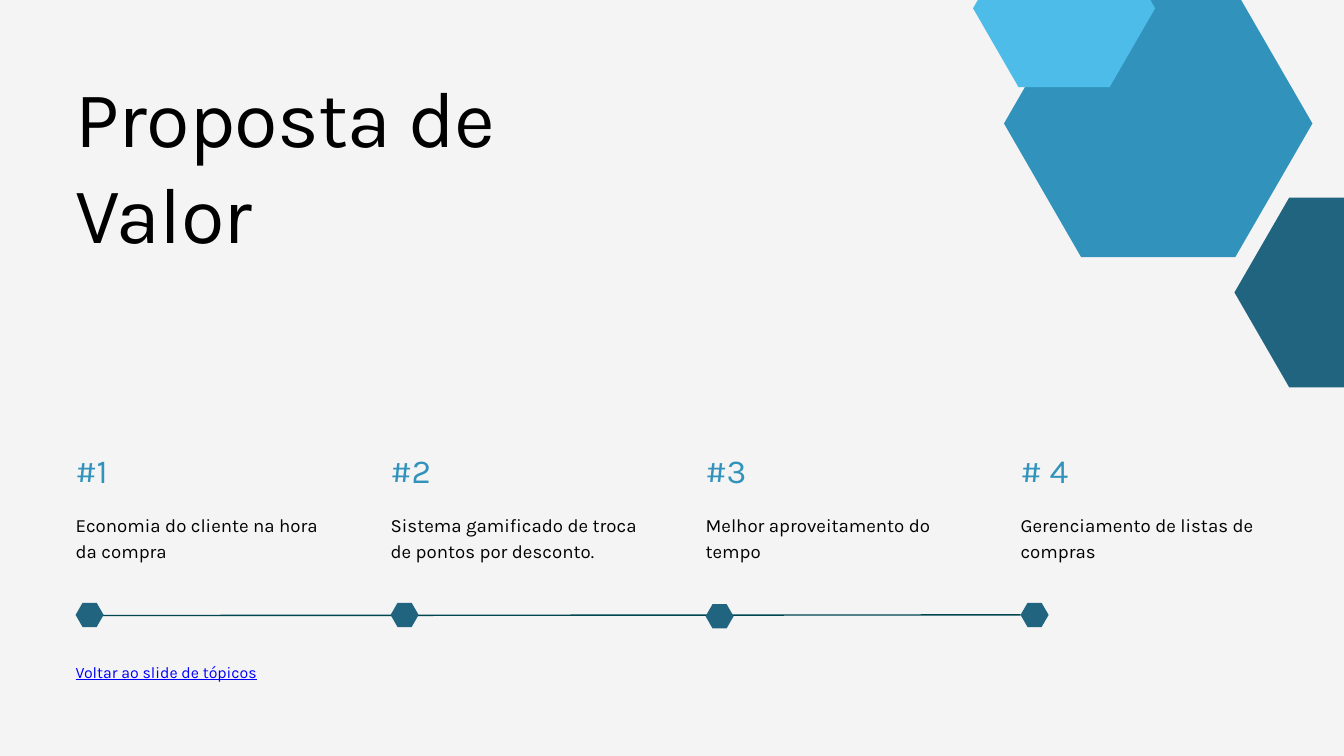
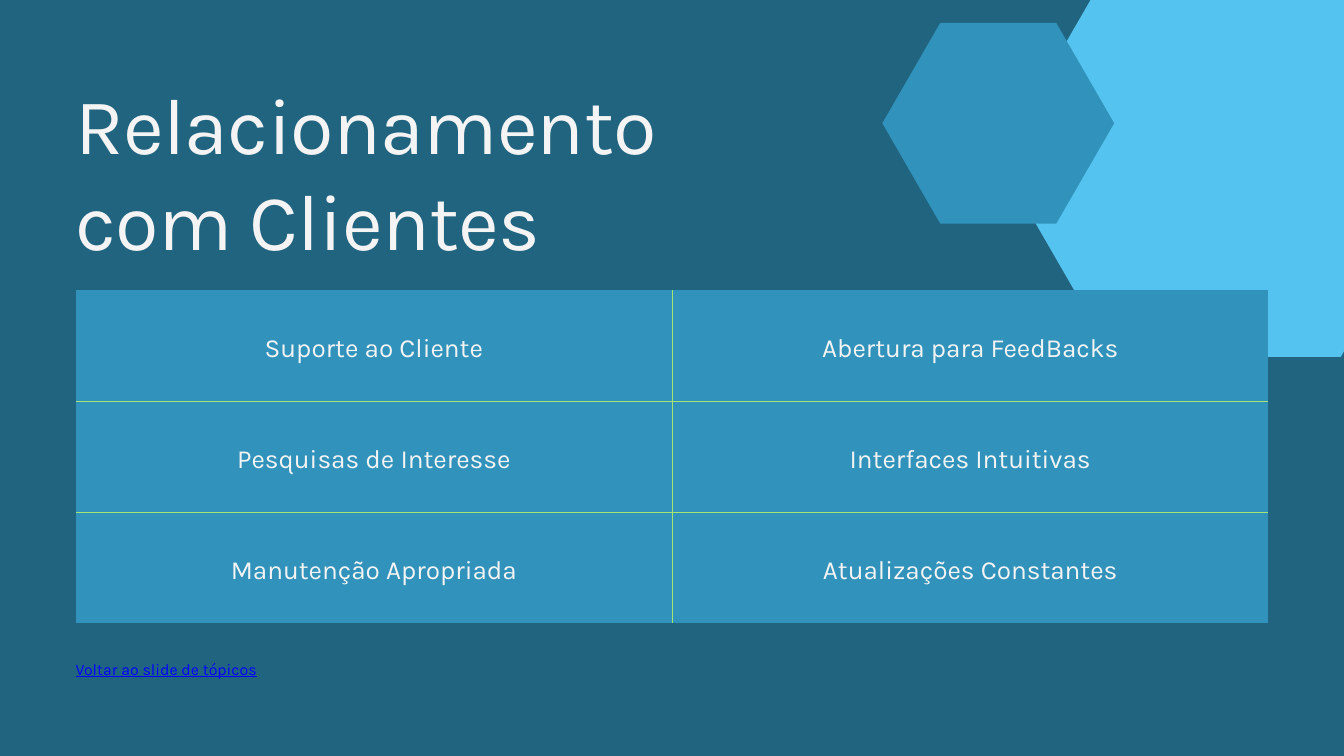
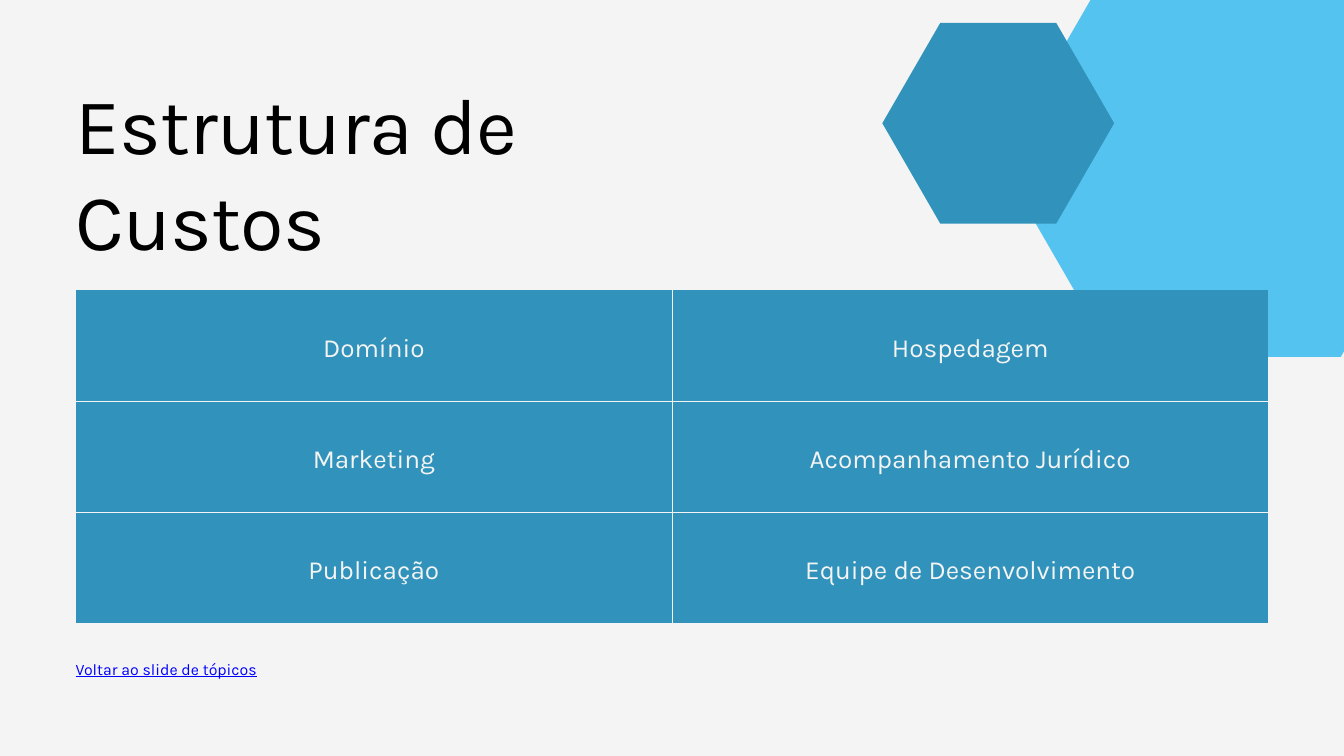
from dataclasses import dataclass

from lxml import etree
from pptx import Presentation
from pptx import util as u
from pptx.dml.color import RGBColor
from pptx.enum import shapes, text
from pptx.oxml import ns

GRID_COLS, GRID_ROWS = 160, 90
UNIT = u.Inches(20) // GRID_COLS
MARGIN = 9
STEP = 37.5
STEP_TEXT_W = 29.44
MARKER_W = 3.34
TABLE_TOP, TABLE_ROW_H = 34.56, 13.2
FONT = "Karla"
BACK_LABEL = "Voltar ao slide de tópicos"

PAPER = RGBColor(0xF4, 0xF4, 0xF4)
INK = RGBColor(0x00, 0x00, 0x00)
NAVY = RGBColor(0x21, 0x64, 0x80)
BLUE = RGBColor(0x31, 0x93, 0xBB)
SKY = RGBColor(0x4D, 0xBC, 0xE9)
LIGHT_SKY = RGBColor(0x55, 0xC3, 0xEF)
LIME = RGBColor(0xA4, 0xE4, 0x73)
TEAL = RGBColor(0x00, 0x46, 0x51)
LINK = RGBColor(0x00, 0x00, 0xFF)


@dataclass(frozen=True)
class Box:
    col: float
    row: float
    cols: float
    rows: float


@dataclass(frozen=True)
class Style:
    size: float
    leading: float
    color: RGBColor
    underline: bool = False
    spacing: int = 0


@dataclass(frozen=True)
class Hexagon:
    col: float
    row: float
    width: float
    color: RGBColor


@dataclass(frozen=True)
class Step:
    number: str
    benefit: str
    marker_row: float = 71.76


@dataclass(frozen=True)
class TableSlide:
    title: str
    background: RGBColor
    title_color: RGBColor
    border: RGBColor
    rows: tuple


NUMBER = Style(36, 43.2, BLUE)
BENEFIT = Style(20, 28, INK)
CELL = Style(28, 39.2, PAPER)
BACK = Style(17, 23.8, LINK, underline=True)

VALUE_HEXAGONS = (
    Hexagon(146.96, 23.52, 26.08, NAVY),
    Hexagon(119.52, -1.2, 36.72, BLUE),
    Hexagon(115.84, -8.4, 21.68, SKY),
)
TABLE_HEXAGONS = (
    Hexagon(118.88, -4.56, 54.32, LIGHT_SKY),
    Hexagon(105.04, 2.72, 27.6, BLUE),
)
STEPS = (
    Step("#1", "Economia do cliente na hora da compra"),
    Step("#2", "Sistema gamificado de troca de pontos por desconto."),
    Step("#3", "Melhor aproveitamento do tempo", 71.92),
    Step("# 4", "Gerenciamento de listas de compras"),
)
TABLE_SLIDES = (
    TableSlide("Relacionamento com Clientes", NAVY, PAPER, LIME, (
        ("Suporte ao Cliente", "Abertura para FeedBacks"),
        ("Pesquisas de Interesse", "Interfaces Intuitivas"),
        ("Manutenção Apropriada", "Atualizações Constantes"),
    )),
    TableSlide("Estrutura de Custos", PAPER, INK, PAPER, (
        ("Domínio", "Hospedagem"),
        ("Marketing", "Acompanhamento Jurídico"),
        ("Publicação", "Equipe de Desenvolvimento"),
    )),
)


def grid(units: float) -> int:
    return round(units * UNIT)


def write(tf, content: str, style: Style, align=text.PP_ALIGN.LEFT) -> None:
    p = tf.paragraphs[0]
    p.alignment = align
    p.line_spacing = u.Pt(style.leading)
    p.space_before = u.Pt(0)
    r = p.add_run()
    r.text = content
    r.font.name = FONT
    r.font.size = u.Pt(style.size)
    r.font.color.rgb = style.color
    if style.underline:
        r.font.underline = True
    if style.spacing:
        r._r.get_or_add_rPr().set("spc", str(style.spacing))


def set_frame(sp, content: str, style: Style) -> None:
    tf = sp.text_frame
    tf.word_wrap = True
    tf.auto_size = text.MSO_AUTO_SIZE.SHAPE_TO_FIT_TEXT
    tf.vertical_anchor = text.MSO_ANCHOR.TOP
    tf.margin_left = tf.margin_right = tf.margin_top = tf.margin_bottom = 0
    write(tf, content, style)


def add_text(s, box: Box, content: str, style: Style) -> None:
    sp = s.shapes.add_textbox(grid(box.col), grid(box.row), grid(box.cols), grid(box.rows))
    set_frame(sp, content, style)


def add_hexagon(s, hexagon: Hexagon) -> None:
    w = hexagon.width
    h = w * 3 ** 0.5 / 2
    shares = ((1, 0.5), (0.75, 1), (0.25, 1), (0, 0.5), (0.25, 0), (0.75, 0))
    points = [(grid(hexagon.col + x * w), grid(hexagon.row + y * h)) for x, y in shares]
    builder = s.shapes.build_freeform(*points[0])
    builder.add_line_segments(points[1:], close=True)
    sp = builder.convert_to_shape()
    sp.shadow.inherit = False
    sp.fill.solid()
    sp.fill.fore_color.rgb = hexagon.color
    sp.line.fill.background()


def add_timeline(s) -> None:
    line = s.shapes.add_connector(
        shapes.MSO_CONNECTOR.STRAIGHT,
        grid(11.12), grid(73.28), grid(MARGIN + 3 * STEP), grid(73.2))
    line.line.color.rgb = TEAL
    line.line.width = u.Pt(1.5)
    etree.SubElement(line._element.spPr, ns.qn("a:effectLst"))


def add_base(prs, background: RGBColor, title: str, color: RGBColor, box: Box):
    s = prs.slides.add_slide(prs.slide_layouts[5])
    s.background.fill.solid()
    s.background.fill.fore_color.rgb = background
    sp = s.shapes.title
    sp.left, sp.top = grid(box.col), grid(box.row)
    sp.width, sp.height = grid(box.cols), grid(box.rows)
    set_frame(sp, title, Style(85, 102, color, spacing=-80))
    return s


def add_back_label(s, row: float) -> None:
    add_text(s, Box(MARGIN, row, 45.76, 2.56), BACK_LABEL, BACK)


def set_border(cell, side: str, color: RGBColor, visible: bool) -> None:
    width = u.Pt(0.75) if visible else 0
    ln = etree.SubElement(cell._tc.get_or_add_tcPr(), ns.qn(f"a:ln{side}"), w=str(width))
    if visible:
        fill = etree.SubElement(ln, ns.qn("a:solidFill"))
        etree.SubElement(fill, ns.qn("a:srgbClr"), val=str(color))
    else:
        etree.SubElement(ln, ns.qn("a:noFill"))


def add_grid_table(s, rows: tuple, border: RGBColor) -> None:
    n_rows, n_cols = len(rows), len(rows[0])
    table = s.shapes.add_table(
        n_rows, n_cols, grid(MARGIN), grid(TABLE_TOP),
        grid(GRID_COLS - 2 * MARGIN), grid(n_rows * TABLE_ROW_H)).table
    table.first_row = table.horz_banding = False
    for i, row in enumerate(rows):
        for j, content in enumerate(row):
            cell = table.cell(i, j)
            inner = {"L": j > 0, "R": j < n_cols - 1, "T": i > 0, "B": i < n_rows - 1}
            for side, visible in inner.items():
                set_border(cell, side, border, visible)
            cell.fill.solid()
            cell.fill.fore_color.rgb = BLUE
            cell.vertical_anchor = text.MSO_ANCHOR.MIDDLE
            cell.margin_left = cell.margin_right = u.Inches(0.21)
            cell.margin_top = cell.margin_bottom = u.Inches(0.21)
            write(cell.text_frame, content, CELL, text.PP_ALIGN.CENTER)


def add_value_slide(prs) -> None:
    s = add_base(prs, PAPER, "Proposta de Valor", INK, Box(MARGIN, 8.16, 68.08, 22.5))
    add_timeline(s)
    for i, step in enumerate(STEPS):
        col = MARGIN + i * STEP
        add_text(s, Box(col, 53.6, STEP_TEXT_W, 4.8), step.number, NUMBER)
        add_text(s, Box(col, 60.72, STEP_TEXT_W, 6), step.benefit, BENEFIT)
        add_hexagon(s, Hexagon(col, step.marker_row, MARKER_W, NAVY))
    add_back_label(s, 78.48)
    for hexagon in VALUE_HEXAGONS:
        add_hexagon(s, hexagon)


def add_table_slide(prs, page: TableSlide) -> None:
    s = add_base(prs, page.background, page.title, page.title_color,
                 Box(MARGIN, 9, 81.2, 22.5))
    for hexagon in TABLE_HEXAGONS:
        add_hexagon(s, hexagon)
    add_grid_table(s, page.rows, page.border)
    add_back_label(s, 78.16)


def main() -> None:
    prs = Presentation()
    prs.slide_width, prs.slide_height = grid(GRID_COLS), grid(GRID_ROWS)
    add_value_slide(prs)
    for page in TABLE_SLIDES:
        add_table_slide(prs, page)
    prs.save("out.pptx")


if __name__ == "__main__":
    main()
